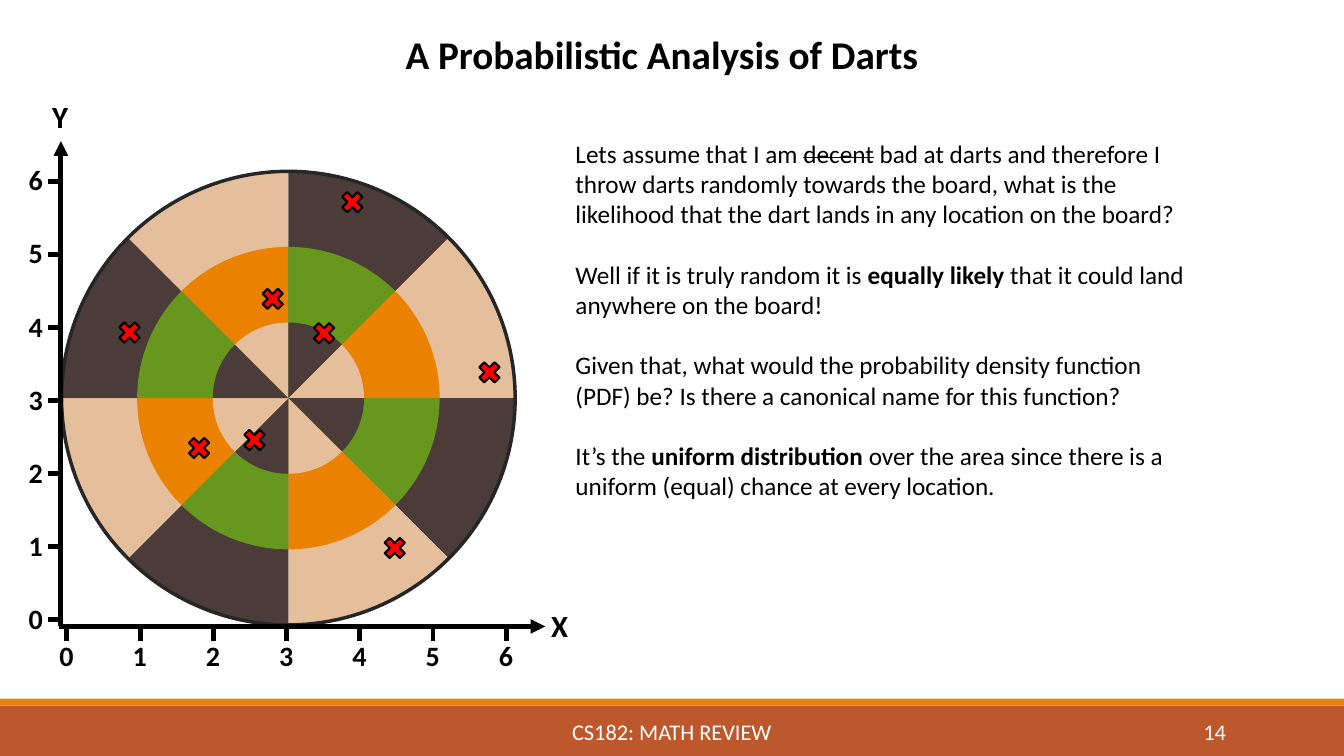
from dataclasses import dataclass

from lxml import etree
from pptx import Presentation
from pptx.dml.color import RGBColor
from pptx.enum.shapes import MSO_CONNECTOR, MSO_SHAPE
from pptx.enum.text import MSO_ANCHOR, PP_ALIGN
from pptx.oxml.ns import qn
from pptx.util import Pt

RECT, PIE, OVAL = MSO_SHAPE.RECTANGLE, MSO_SHAPE.PIE, MSO_SHAPE.OVAL
CROSS, STRAIGHT = MSO_SHAPE.MATH_MULTIPLY, MSO_CONNECTOR.STRAIGHT
LEFT, CENTER, RIGHT = PP_ALIGN.LEFT, PP_ALIGN.CENTER, PP_ALIGN.RIGHT
TOP, MIDDLE = MSO_ANCHOR.TOP, MSO_ANCHOR.MIDDLE


@dataclass(frozen=True)
class Theme:
    """Colours, type sizes and line widths."""
    font: str = "Calibri"
    ink: str = "000000"
    white: str = "FFFFFF"
    bar: str = "BD582C"
    stripe: str = "E48312"
    tan: str = "E5BF9C"
    brown: str = "4B3B39"
    orange: str = "EA8200"
    green: str = "67971D"
    rim: str = "262626"
    dart: str = "FF0000"
    title: int = 28
    body: int = 18
    footer: int = 16
    axis: int = 22
    number: int = 20
    axis_line: float = 3.5
    rim_line: float = 2.5
    dart_line: float = 1.5


T = Theme()
BOARD_X, BOARD_Y = 206, 284.4
# Diameter, then the two alternating sector colours
RINGS = [(324, T.tan, T.brown), (216, T.orange, T.green), (108, T.tan, T.brown)]
DART_SIZE = 21
DARTS = [(92.5, 237.5), (142.2, 320), (349.6, 266), (282, 391.4),
         (181.8, 314.3), (231.5, 238), (251.7, 144.4), (194.8, 213.5)]
BODY = [
    [("Lets assume that I am ", ""), ("decent", "strike"),
     (" bad at darts and therefore I throw darts randomly towards the board, "
      "what is the likelihood that the dart lands in any location on the board?", "")],
    [("Well if it is truly random it is ", ""), ("equally likely ", "bold"),
     ("that it could land anywhere on the board!", "")],
    [("Given that, what would the probability density function (PDF) be? "
      "Is there a canonical name for this function?", "")],
    [("It\u2019s the ", ""), ("uniform distribution ", "bold"),
     ("over the area since there is a uniform (equal) chance at every location.", "")],
]


def add_shape(s, kind, x, y, w, h, fill=None, line=None, width=1):
    """Add a flat preset shape with optional fill and outline."""
    sp = s.shapes.add_shape(kind, Pt(x), Pt(y), Pt(w), Pt(h))
    sp.shadow.inherit = False
    if fill:
        sp.fill.solid()
        sp.fill.fore_color.rgb = RGBColor.from_string(fill)
    else:
        sp.fill.background()
    if line:
        sp.line.color.rgb = RGBColor.from_string(line)
        sp.line.width = Pt(width)
    else:
        sp.line.fill.background()
    return sp


def add_centred(s, kind, x, y, size, **style):
    """Add a square-bounded shape centred on a point."""
    return add_shape(s, kind, x - size / 2, y - size / 2, size, size, **style)


def add_text(s, x, y, w, h, paragraphs, size, color=T.ink, bold=None,
             align=LEFT, anchor=TOP, gap=0):
    """Add a text box; each paragraph is a list of (text, style) runs."""
    tf = s.shapes.add_textbox(Pt(x), Pt(y), Pt(w), Pt(h)).text_frame
    tf.word_wrap = True
    tf.vertical_anchor = anchor
    for i, runs in enumerate(paragraphs):
        p = tf.paragraphs[0] if i == 0 else tf.add_paragraph()
        p.alignment = align
        p.space_before = Pt(gap if i else 0)
        p.font.name, p.font.size, p.font.bold = T.font, Pt(size), bold
        p.font.color.rgb = RGBColor.from_string(color)
        for text, style in runs:
            r = p.add_run()
            r.text = text
            if style == "bold":
                r.font.bold = True
            elif style == "strike":
                r.font._element.set("strike", "sngStrike")


def add_label(s, x, y, w, h, text, size, **style):
    """Add a text box holding one plain line."""
    add_text(s, x, y, w, h, [[(text, "")]], size, **style)


def add_line(s, x1, y1, x2, y2, arrow=False):
    """Add an axis line or tick, with an arrowhead at its end if asked."""
    c = s.shapes.add_connector(STRAIGHT, Pt(x1), Pt(y1), Pt(x2), Pt(y2))
    c.line.color.rgb = RGBColor.from_string(T.ink)
    c.line.width = Pt(T.axis_line)
    if arrow:
        etree.SubElement(c.line._get_or_add_ln(), qn("a:tailEnd"), type="triangle")
    etree.SubElement(c._element.spPr, qn("a:effectLst"))


def add_board(s):
    """Draw three rings of eight sectors, and the rim."""
    for size, *colors in RINGS:
        for k in range(8):
            sp = add_centred(s, PIE, BOARD_X, BOARD_Y, size, fill=colors[k % 2])
            # Pie angles are in 60000ths of a degree, adjustments in 100000ths
            sp.adjustments[0], sp.adjustments[1] = 225 * 0.6, 270 * 0.6
            sp.rotation = 45 * k
    add_centred(s, OVAL, BOARD_X, BOARD_Y, RINGS[0][0], line=T.rim, width=T.rim_line)


def add_axes(s):
    """Draw both axes with ticks and numbers from 0 to 6."""
    add_line(s, 42, 447.5, 389.5, 447.5, arrow=True)
    add_line(s, 43.5, 447.5, 43.5, 100.8, arrow=True)
    for i in range(7):
        x, y = 47.8 + 52.3 * i, 442.8 - 52.2 * i
        add_line(s, x, 449.3, x, 457.9)
        add_line(s, 43.2, y, 34.4, y)
        add_label(s, x - 12.4, 452.6, 19.4, 31.7, str(i), T.number, bold=True)
        add_label(s, 13.4, y - 16.8, 19.4, 31.7, str(i), T.number, bold=True)
    for name, x, y in [("X", 386.6, 429.8), ("Y", 30.2, 66.2)]:
        add_label(s, x, y, 28.8, 33.8, name, T.axis, bold=True)


def add_footer(s):
    """Draw the footer bars with course name and slide number."""
    add_shape(s, RECT, 0, 504, 960, 36, fill=T.bar)
    add_shape(s, RECT, 0, 499, 960, 5, fill=T.stripe)
    for text, x, w, align in [("CS182: MATH REVIEW", 290.2, 379.4, CENTER),
                              ("14", 779.8, 103, RIGHT)]:
        add_label(s, x, 508.3, w, 28.8, text, T.footer, color=T.white,
                  align=align, anchor=MIDDLE)


def main():
    """Build the darts slide and save it."""
    prs = Presentation()
    prs.slide_width, prs.slide_height = Pt(960), Pt(540)
    s = prs.slides.add_slide(prs.slide_layouts[6])
    add_footer(s)
    add_board(s)
    for x, y in DARTS:
        add_centred(s, CROSS, x, y, DART_SIZE, fill=T.dart, line=T.ink, width=T.dart_line)
    add_label(s, 43.2, 18, 859, 41, "A Probabilistic Analysis of Darts", T.title,
              bold=True, align=CENTER)
    add_text(s, 404, 95, 460.8, 269.3, BODY, T.body, gap=21.6)
    add_axes(s)
    prs.save("out.pptx")


main()
